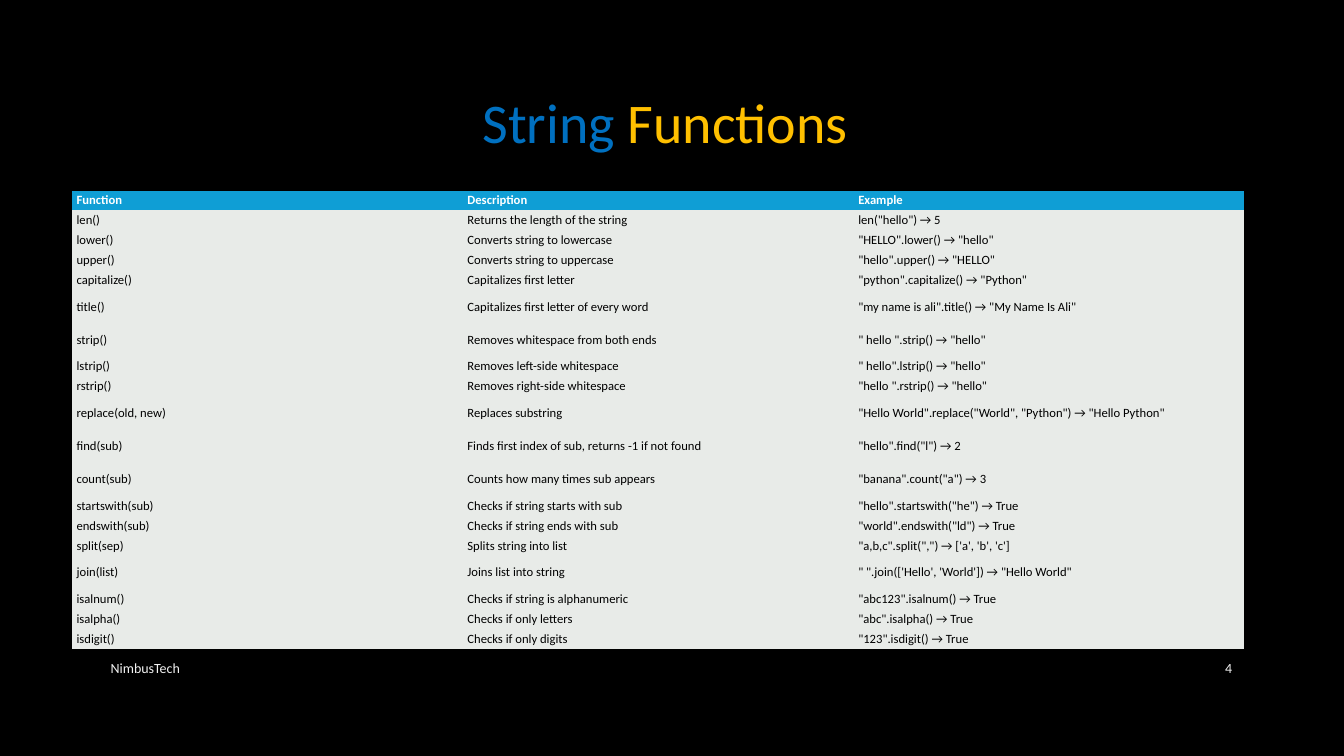
"""Build the String Functions reference slide."""
import lxml.etree
import pptx
import pptx.dml.color
import pptx.enum.text
import pptx.oxml
import pptx.oxml.ns
import pptx.util

HEADER = ("Function", "Description", "Example")
FUNCTIONS = [
    ("len()", "Returns the length of the string", 'len("hello") → 5'),
    ("lower()", "Converts string to lowercase", '"HELLO".lower() → "hello"'),
    ("upper()", "Converts string to uppercase", '"hello".upper() → "HELLO"'),
    ("capitalize()", "Capitalizes first letter", '"python".capitalize() → "Python"'),
    ("title()", "Capitalizes first letter of every word", '"my name is ali".title() → "My Name Is Ali"'),
    ("strip()", "Removes whitespace from both ends", '" hello ".strip() → "hello"'),
    ("lstrip()", "Removes left-side whitespace", '" hello".lstrip() → "hello"'),
    ("rstrip()", "Removes right-side whitespace", '"hello ".rstrip() → "hello"'),
    ("replace(old, new)", "Replaces substring", '"Hello World".replace("World", "Python") → "Hello Python"'),
    ("find(sub)", "Finds first index of sub, returns -1 if not found", '"hello".find("l") → 2'),
    ("count(sub)", "Counts how many times sub appears", '"banana".count("a") → 3'),
    ("startswith(sub)", "Checks if string starts with sub", '"hello".startswith("he") → True'),
    ("endswith(sub)", "Checks if string ends with sub", '"world".endswith("ld") → True'),
    ("split(sep)", "Splits string into list", '"a,b,c".split(",") → [\'a\', \'b\', \'c\']'),
    ("join(list)", "Joins list into string", '" ".join([\'Hello\', \'World\']) → "Hello World"'),
    ("isalnum()", "Checks if string is alphanumeric", '"abc123".isalnum() → True'),
    ("isalpha()", "Checks if only letters", '"abc".isalpha() → True'),
    ("isdigit()", "Checks if only digits", '"123".isdigit() → True'),
]
TALL_ROWS = {"title()", "strip()", "replace(old, new)", "find(sub)", "count(sub)", "join(list)"}
TITLE = [("String ", "0070C0"), ("Functions ", "FFC000")]
FOOTERS = [("NimbusTech", 1, 7.3, "LEFT"), ("4", 11.5, 0.82, "RIGHT")]
THEME = {
    "font": "Calibri", "background": "000000", "outline": "404040", "footer": "F2F2F2",
    "header_fill": "0F9ED5", "header_text": "FFFFFF", "body_fill": "E8EBE8", "body_text": "000000",
    "title_size": 40, "footer_size": 10, "table_size": 9,
}
TABLE_LEFT, TABLE_TOP, TABLE_WIDTH, TABLE_HEIGHT = 0.71, 1.89, 11.63, 4.55
TALL_HEIGHT = 0.33
PLAIN_TABLE_STYLE = "{2D5ABB26-0587-4C30-8999-92F81FD0307C}"
Inches = pptx.util.Inches


def rgb(name):
    """Return the colour for a hexadecimal string."""
    return pptx.dml.color.RGBColor.from_string(name)


def write_text(frame, text, *, size, color, bold=False, align="LEFT"):
    """Append a formatted run to the first paragraph and return it."""
    frame.word_wrap = True
    frame.vertical_anchor = pptx.enum.text.MSO_ANCHOR.MIDDLE
    paragraph = frame.paragraphs[0]
    paragraph.alignment = pptx.enum.text.PP_ALIGN[align]
    run = paragraph.add_run()
    run.text = text
    run.font.name = THEME["font"]
    run.font.size = pptx.util.Pt(size)
    run.font.bold = bold
    run.font.color.rgb = rgb(color)
    return run


def add_title(slide):
    """Place the two-colour title with its faint outline."""
    title = slide.shapes.title
    title.left, title.top, title.width, title.height = map(Inches, (1, 0.67, 11.32, 1.06))
    for text, color in TITLE:
        run = write_text(title.text_frame, text, size=THEME["title_size"], color=color, align="CENTER")
        outline = pptx.oxml.parse_xml(
            f'<a:ln {pptx.oxml.ns.nsdecls("a")} w="9525"><a:solidFill><a:srgbClr val="{THEME["outline"]}">'
            '<a:alpha val="10000"/></a:srgbClr></a:solidFill></a:ln>')
        run.font.fill
        run._r.get_or_add_rPr().insert(0, outline)


def add_function_table(slide):
    """Place the table of functions with short and tall rows."""
    rows = [HEADER, *FUNCTIONS]
    short_height = (TABLE_HEIGHT - len(TALL_ROWS) * TALL_HEIGHT) / (len(rows) - len(TALL_ROWS))
    table = slide.shapes.add_table(
        len(rows), len(HEADER), Inches(TABLE_LEFT), Inches(TABLE_TOP),
        Inches(TABLE_WIDTH), Inches(TABLE_HEIGHT)).table
    table.horz_banding = False
    table._tbl.tblPr.find(pptx.oxml.ns.qn("a:tableStyleId")).text = PLAIN_TABLE_STYLE
    for row_index, values in enumerate(rows):
        height = TALL_HEIGHT if values[0] in TALL_ROWS else short_height
        table.rows[row_index].height = Inches(height)
        part = "header" if row_index == 0 else "body"
        for column_index, text in enumerate(values):
            cell = table.cell(row_index, column_index)
            cell.margin_left = cell.margin_right = Inches(0.05)
            cell.margin_top = cell.margin_bottom = Inches(0.02)
            cell.vertical_anchor = pptx.enum.text.MSO_ANCHOR.MIDDLE
            cell.fill.solid()
            cell.fill.fore_color.rgb = rgb(THEME[f"{part}_fill"])
            write_text(cell.text_frame, text, size=THEME["table_size"],
                       color=THEME[f"{part}_text"], bold=part == "header")


def main():
    """Create and save the presentation."""
    presentation = pptx.Presentation()
    presentation.slide_width, presentation.slide_height = Inches(13.33), Inches(7.5)
    slide = presentation.slides.add_slide(presentation.slide_layouts[5])
    slide.background.fill.solid()
    slide.background.fill.fore_color.rgb = rgb(THEME["background"])
    add_title(slide)
    for text, left, width, align in FOOTERS:
        box = slide.shapes.add_textbox(Inches(left), Inches(6.43), Inches(width), Inches(0.4))
        write_text(box.text_frame, text, size=THEME["footer_size"], color=THEME["footer"], align=align)
    add_function_table(slide)
    presentation.save("out.pptx")


if __name__ == "__main__":
    main()
